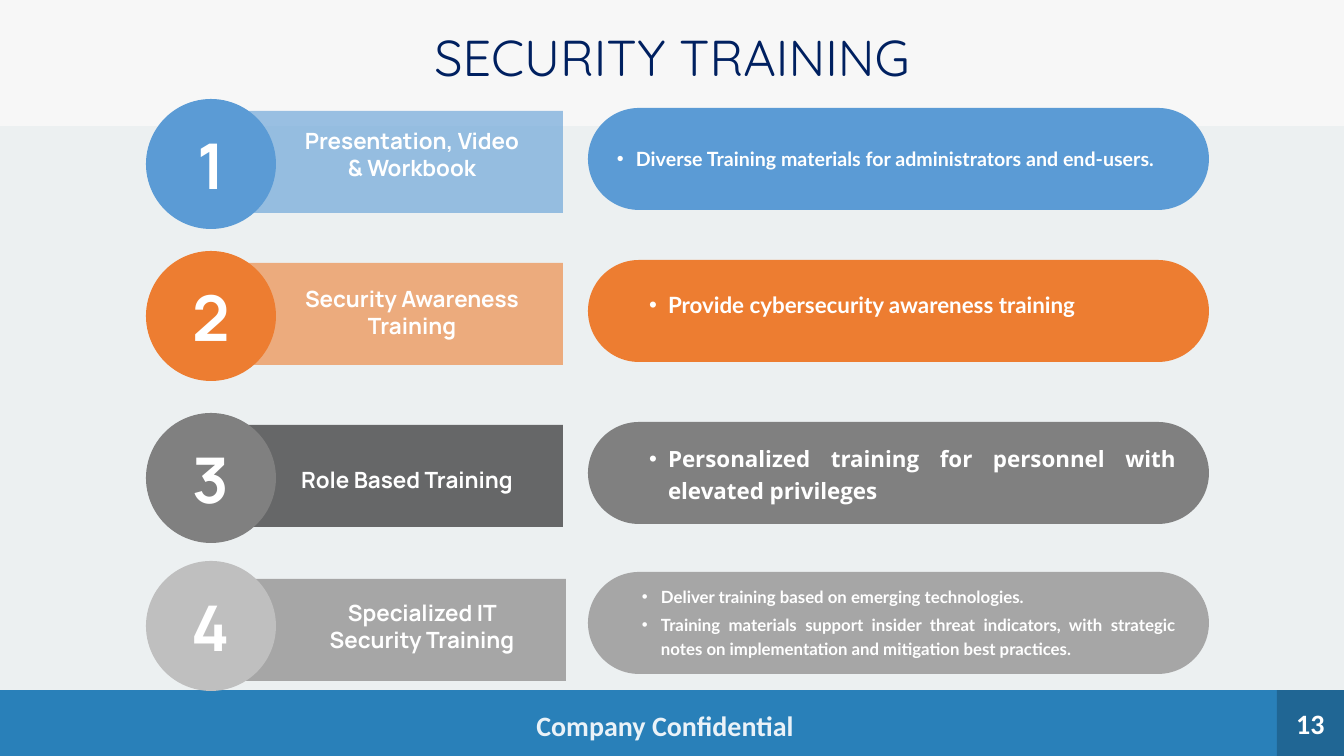
from collections import namedtuple

from lxml import etree
from pptx import Presentation
from pptx import util as u
from pptx.dml.color import RGBColor
from pptx.enum import shapes, text
from pptx.oxml.ns import qn

PX = 914400 / 100.8
W, H = 1344, 756

BACKGROUND = RGBColor(0xEC, 0xF0, 0xF1)
HEADER = RGBColor(0xF7, 0xF7, 0xF7)
FOOTER = RGBColor(0x29, 0x80, 0xB9)
NAVY = RGBColor(0x00, 0x20, 0x60)
WHITE = RGBColor(0xFF, 0xFF, 0xFF)
BLACK = RGBColor(0x00, 0x00, 0x00)
BLUE = RGBColor(0x5B, 0x9B, 0xD5)
ORANGE = RGBColor(0xED, 0x7D, 0x31)
GREY = RGBColor(0x80, 0x80, 0x80)
NEAR_BLACK = RGBColor(0x0D, 0x0D, 0x0D)
MID_GREY = RGBColor(0xA6, 0xA6, 0xA6)
LIGHT_GREY = RGBColor(0xBF, 0xBF, 0xBF)

# Boxes are left, top, width, height; tops are measured from the row's top.
Row = namedtuple("Row", "top circle bar alpha pill bar_box pill_top label label_box "
                        "bullets bullet_box font size spacing")
ROWS = [
    Row(99, BLUE, BLUE, 60, BLUE, (234, 12, 329, 102), 9,
        "Presentation, Video & Workbook", (290, 23, 244, 65),
        ["Diverse Training materials for administrators and end-users."],
        (612, 45, 587, 28), "Lato", 14, u.Pt(17.5)),
    Row(251, ORANGE, ORANGE, 60, ORANGE, (234, 12, 329, 102), 9,
        "Security Awareness Training", (290, 29, 244, 65),
        ["Provide cybersecurity awareness training"],
        (644, 40, 570, 30), "Lato", 16, u.Pt(17.5)),
    Row(413, GREY, NEAR_BLACK, 60, GREY, (234, 12, 329, 102), 9,
        "Role Based Training", (285, 48, 244, 37),
        ["Personalized training for personnel with elevated privileges"],
        (644, 25, 537, 68), "Open Sans", 16, 1.2),
    Row(561, LIGHT_GREY, MID_GREY, 100, MID_GREY, (237, 18, 329, 102), 11,
        "Specialized IT Security Training", (300, 33, 244, 65),
        ["Deliver training based on emerging technologies.",
         "Training materials support insider threat indicators, with strategic "
         "notes on implementation and mitigation best practices."],
        (637, 18, 544, 83), "Lato", 12, u.Pt(17.5)),
]


def px(n):
    return u.Emu(round(n * PX))


def place(sp, box):
    sp.left, sp.top, sp.width, sp.height = map(px, box)


def set_alpha(sp, percent):
    """Make every RGB colour of the shape partly transparent."""
    for clr in sp._element.iter(qn("a:srgbClr")):
        etree.SubElement(clr, qn("a:alpha")).set("val", str(percent * 1000))


def add_shape(s, kind, box, color, alpha=100):
    sp = s.shapes.add_shape(kind, *map(px, box))
    sp.shadow.inherit = False
    sp.fill.solid()
    sp.fill.fore_color.rgb = color
    sp.line.fill.background()
    if alpha < 100:
        set_alpha(sp, alpha)
    return sp


def set_frame(sp, margins, anchor=text.MSO_ANCHOR.MIDDLE, wrap=True):
    tf = sp.text_frame
    tf.word_wrap = wrap
    tf.auto_size = text.MSO_AUTO_SIZE.NONE
    tf.vertical_anchor = anchor
    tf.margin_left = tf.margin_right = px(margins[0])
    tf.margin_top = tf.margin_bottom = px(margins[1])
    return tf


def add_run(p, words, font, size, color=WHITE, bold=True):
    r = p.add_run()
    r.text = words
    r.font.name = font
    r.font.size = u.Pt(size)
    r.font.bold = bold
    r.font.color.rgb = color


def add_centred(sp, words, font, size, margins=(10, 5), wrap=True):
    p = set_frame(sp, margins, wrap=wrap).paragraphs[0]
    p.alignment = text.PP_ALIGN.CENTER
    add_run(p, words, font, size)


def add_text_box(s, box, *args, **kwargs):
    sp = s.shapes.add_textbox(*map(px, box))
    add_centred(sp, *args, **kwargs)
    return sp


def bring_to_front(s, sp):
    s.shapes._spTree.append(sp._element)


def add_footer(s, box):
    left, top, width, height = box
    rect = shapes.MSO_SHAPE.RECTANGLE
    add_shape(s, rect, box, FOOTER)
    note = add_text_box(s, (left + 518, top + 18, 294, 34), "Company Confidential",
                        "Calibri", 20, margins=(0, 0))
    set_alpha(note, 90)
    number_box = (left + width - 67, top, 67, height)
    add_shape(s, rect, number_box, BLACK, 20)
    add_text_box(s, number_box, "13", "Calibri", 20)


def add_header(s, box):
    add_shape(s, shapes.MSO_SHAPE.RECTANGLE, box, HEADER)
    title = s.shapes.title
    place(title, (box[0] + 50, box[1] + 33, box[2] - 100, 58))
    p = set_frame(title, (0, 0), text.MSO_ANCHOR.TOP).paragraphs[0]
    p.alignment = text.PP_ALIGN.CENTER
    p.line_spacing = 0.9
    add_run(p, "SECURITY TRAINING", "Quicksand", 36, NAVY, False)
    bring_to_front(s, title)


def fill_bullets(body, row):
    tf = set_frame(body, (5, 3))
    for i, words in enumerate(row.bullets):
        p = tf.add_paragraph() if i else tf.paragraphs[0]
        pPr = p._p.get_or_add_pPr()
        pPr.set("marL", str(px(19)))
        pPr.set("indent", str(-px(19)))
        etree.SubElement(pPr, qn("a:buFont")).set("typeface", "Arial")
        etree.SubElement(pPr, qn("a:buChar")).set("char", "•")
        p.alignment = text.PP_ALIGN.JUSTIFY
        p.line_spacing = row.spacing
        p.space_before = u.Pt(0.2 * row.size if i else 0)
        p.space_after = u.Pt(0)
        add_run(p, words, row.font, row.size)


def add_row(s, row, number, body):
    def in_row(box):
        left, top, width, height = box
        return left, row.top + top, width, height

    add_shape(s, shapes.MSO_SHAPE.RECTANGLE, in_row(row.bar_box), row.bar, row.alpha)
    circle = add_shape(s, shapes.MSO_SHAPE.OVAL, in_row((146, 0, 130, 130)), row.circle)
    add_centred(circle, str(number), "Manrope", 45, wrap=False)
    add_text_box(s, in_row(row.label_box), row.label, "Manrope", 16)
    pill = add_shape(s, shapes.MSO_SHAPE.ROUNDED_RECTANGLE,
                     in_row((588, row.pill_top, 621, 102)), row.pill)
    pill.adjustments[0] = 0.5
    place(body, in_row(row.bullet_box))
    fill_bullets(body, row)
    bring_to_front(s, body)


def main():
    prs = Presentation()
    prs.slide_width, prs.slide_height = px(W), px(H)
    s = prs.slides.add_slide(prs.slide_layouts.get_by_name("Comparison"))
    s.background.fill.solid()
    s.background.fill.fore_color.rgb = BACKGROUND
    bodies = [ph for ph in s.placeholders if ph.placeholder_format.idx > 0]
    add_footer(s, (0, 690, W, 66))
    add_header(s, (0, 0, W, 126))
    for number, (row, body) in enumerate(zip(ROWS, bodies), 1):
        add_row(s, row, number, body)
    prs.save("out.pptx")


if __name__ == "__main__":
    main()
